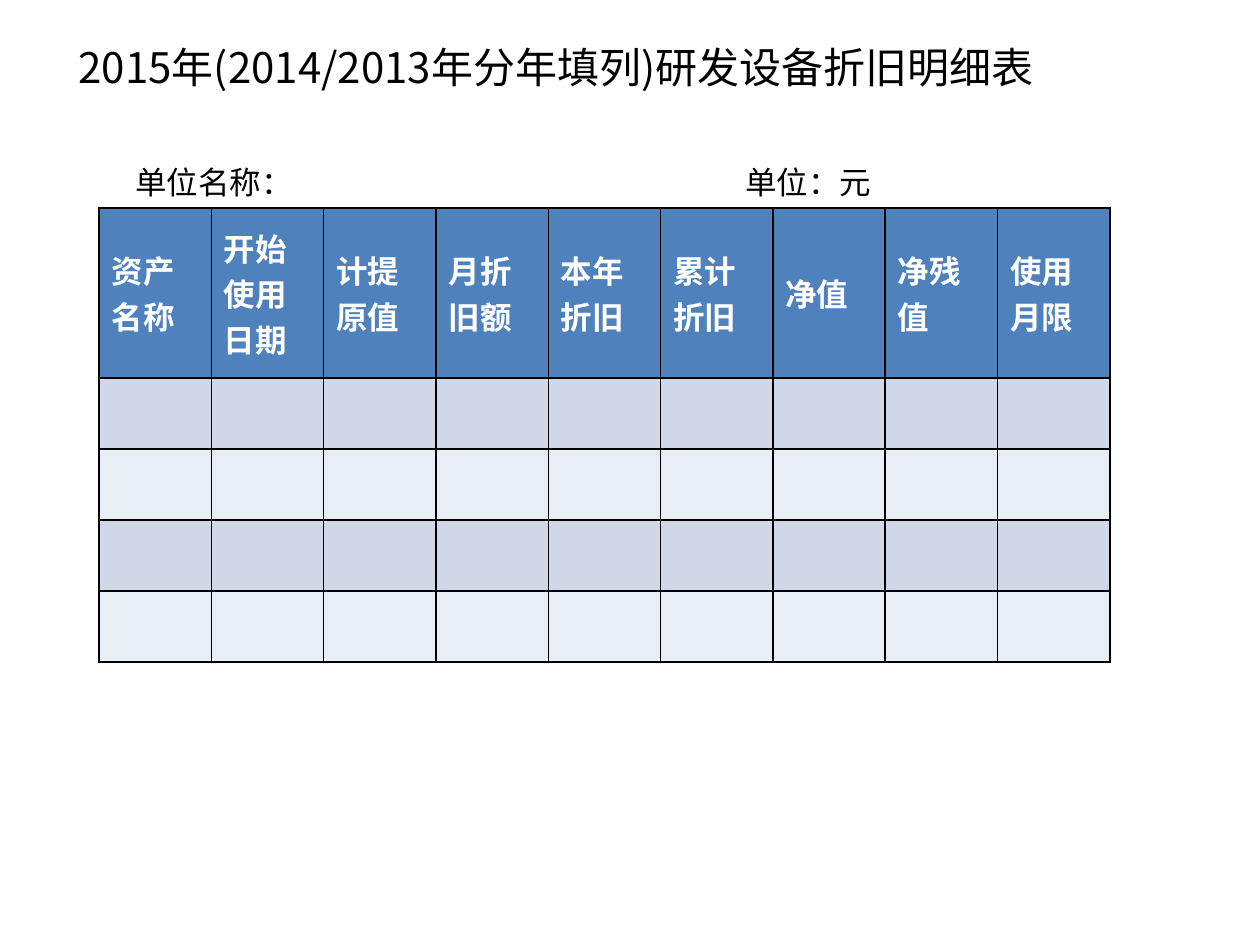
from lxml.etree import SubElement
from pptx import Presentation
from pptx.dml.color import RGBColor
from pptx.enum.text import MSO_ANCHOR, MSO_AUTO_SIZE, PP_ALIGN
from pptx.oxml.ns import qn
from pptx.util import Emu, Pt

PX = 914400 // 126
CJK = "Noto Sans CJK SC"
HEADERS = ["资产名称", "开始使用日期", "计提原值", "月折旧额", "本年折旧",
           "累计折旧", "净值", "净残值", "使用月限"]
ROW_HEIGHTS = [170, 71, 71, 71, 71]
BANDS = ["E9EDF4", "D0D8E8"]


def write(tf, text, size=18, font="Arial", color="000000", bold=False,
          align=PP_ALIGN.LEFT, tab=None):
    tf.word_wrap = True
    p = tf.paragraphs[0]
    p.alignment = align
    if tab:
        tabs = SubElement(p._p.get_or_add_pPr(), qn("a:tabLst"))
        SubElement(tabs, qn("a:tab"), pos=str(tab * PX), algn="l")
    r = p.add_run()
    r.text = text
    r.font.size = Pt(size)
    r.font.bold = bold
    r.font.color.rgb = RGBColor.from_string(color)
    r.font.name = font
    SubElement(r._r.get_or_add_rPr(), qn("a:ea"), typeface=CJK)


def fill_cell(cell, color):
    # Borders come before the fill in the cell properties
    tc_pr = cell._tc.get_or_add_tcPr()
    for side in ("lnL", "lnR", "lnT", "lnB"):
        ln = SubElement(tc_pr, qn(f"a:{side}"), w=str(Pt(1)))
        SubElement(SubElement(ln, qn("a:solidFill")), qn("a:srgbClr"), val="000000")
    cell.fill.solid()
    cell.fill.fore_color.rgb = RGBColor.from_string(color)


prs = Presentation()
prs.slide_width, prs.slide_height = Emu(1260 * PX), Emu(945 * PX)
s = prs.slides.add_slide(prs.slide_layouts[5])

# Title
title = s.shapes.title
title.left, title.top, title.width, title.height = [Emu(v * PX) for v in (5, 35, 1102, 63)]
title.text_frame.auto_size = MSO_AUTO_SIZE.NONE
title.text_frame.vertical_anchor = MSO_ANCHOR.TOP
write(title.text_frame, "2015年(2014/2013年分年填列)研发设备折旧明细表",
      size=24, font=CJK, align=PP_ALIGN.CENTER)

# Company name and currency unit
sp = s.shapes.add_textbox(*[Emu(v * PX) for v in (123, 157, 953, 51)])
write(sp.text_frame, "单位名称：\t单位：元", tab=610)

# Depreciation table
table = s.shapes.add_table(len(ROW_HEIGHTS), len(HEADERS),
                           *[Emu(v * PX) for v in (99, 208, 1011, 454)]).table
for row, height in zip(table.rows, ROW_HEIGHTS):
    row.height = Emu(height * PX)
for i in range(len(ROW_HEIGHTS)):
    for j, header in enumerate(HEADERS):
        cell = table.cell(i, j)
        fill_cell(cell, BANDS[i % 2] if i else "4F81BD")
        if i == 0:
            cell.vertical_anchor = MSO_ANCHOR.MIDDLE
            write(cell.text_frame, header, font="Calibri", color="FFFFFF", bold=True)

prs.save("out.pptx")
